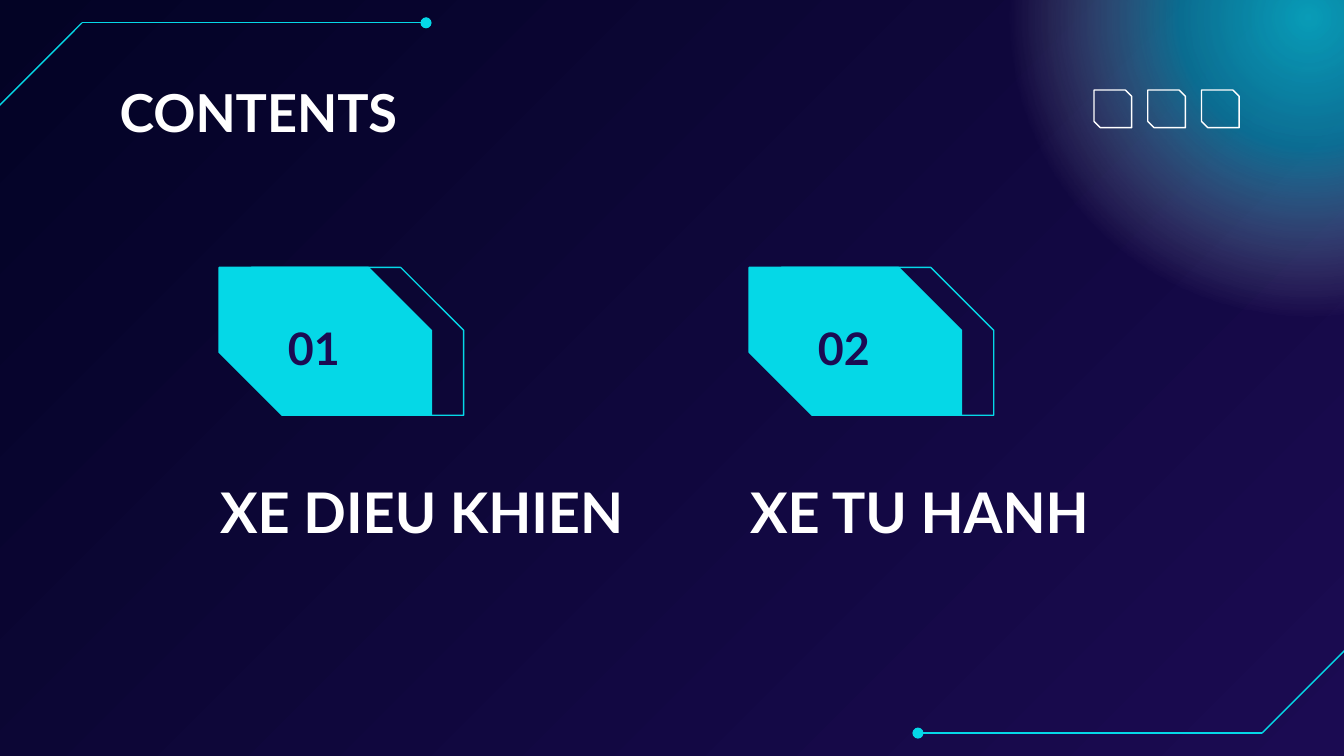
from lxml import etree
from pptx import Presentation
from pptx import util as u
from pptx.dml.color import RGBColor
from pptx.enum import shapes, text
from pptx.oxml import parse_xml
from pptx.oxml.ns import qn

NIGHT = RGBColor(0x03, 0x03, 0x25)
INDIGO = RGBColor(0x1B, 0x0B, 0x52)
CYAN = RGBColor(0x05, 0xD8, 0xE7)
WHITE = RGBColor(0xFF, 0xFF, 0xFF)
DRAWING = "http://schemas.openxmlformats.org/drawingml/2006/main"

deck = Presentation()
deck.slide_width = u.Inches(10)
deck.slide_height = deck.slide_width * 9 // 16
COLUMNS, ROWS = 100, 56.25
CELL = deck.slide_width / COLUMNS  # square grid of 100 columns


def add_snipped(left, top, width, height, snip, color, filled=False):
    """Draw a rectangle with two opposite corners cut off."""
    shape = page.shapes.add_shape(
        shapes.MSO_SHAPE.SNIP_2_DIAG_RECTANGLE,
        *(round(CELL * n) for n in (left, top, width, height)))
    shape.shadow.inherit = False
    shape.adjustments[0], shape.adjustments[1] = 0, snip
    shape.line.color.rgb, shape.line.width = color, u.Pt(0.75)
    if filled:
        shape.fill.solid()
        shape.fill.fore_color.rgb = color
    else:
        shape.fill.background()


def write(box, words, place, anchor, size, color, align=text.PP_ALIGN.LEFT, after=0):
    """Place a text shape on the grid and fill it with one bold paragraph."""
    for name, n in zip(("left", "top", "width", "height"), place):
        setattr(box, name, round(CELL * n))
    frame = box.text_frame
    frame_format = {"word_wrap": True, "auto_size": text.MSO_AUTO_SIZE.NONE,
                    "vertical_anchor": anchor}
    for side in ("left", "top", "right", "bottom"):
        frame_format["margin_" + side] = u.Inches(0.1)
    for name, value in frame_format.items():
        setattr(frame, name, value)
    para = frame.paragraphs[0]
    para.alignment, para.space_after = align, u.Pt(after)
    span = para.add_run()
    span.text = words
    for name, value in {"name": "Lato", "size": u.Pt(size), "bold": True}.items():
        setattr(span.font, name, value)
    span.font.color.rgb = color


page = deck.slides.add_slide(deck.slide_layouts[5])

# Background, dark at the top left
backdrop = page.background.fill
backdrop.gradient()
backdrop.gradient_angle = 315
for stop, color, position in zip(backdrop.gradient_stops, (NIGHT, INDIGO), (0, 1)):
    stop.color.rgb, stop.position = color, position

# Glow in the top right corner
glow = page.shapes.add_shape(
    shapes.MSO_SHAPE.OVAL, *(round(CELL * n) for n in (74.5, -21.5, 45.6, 45.6)))
glow.shadow.inherit = False
glow.line.fill.background()
stops = "".join(
    f'<a:gs pos="{position * 1000}"><a:srgbClr val="{color}">'
    f'<a:alpha val="{opacity * 1000}"/></a:srgbClr></a:gs>'
    for position, color, opacity in
    ((0, CYAN, 71), (30, CYAN, 48), (69, WHITE, 0), (100, WHITE, 0)))
glow.element.spPr.find(qn("a:prstGeom")).addnext(parse_xml(
    f'<a:gradFill xmlns:a="{DRAWING}"><a:gsLst>{stops}</a:gsLst><a:path path="circle">'
    '<a:fillToRect l="50000" t="50000" r="50000" b="50000"/></a:path></a:gradFill>'))

# Corner lines: the second corner is the first one turned by 180 degrees
corner = ((-0.2, 8), (6.1, 1.7), (31.7, 1.7))
turned = [(COLUMNS - x, ROWS - y) for x, y in corner]
for points in (corner, turned):
    for start, end in zip(points, points[1:]):
        line = page.shapes.add_connector(
            shapes.MSO_CONNECTOR.STRAIGHT, *(round(CELL * n) for n in start + end))
        line.line.color.rgb, line.line.width = CYAN, u.Pt(0.75)
        etree.SubElement(line.element.spPr, qn("a:effectLst"))
        if end == points[-1]:
            outline = line.element.spPr.find(qn("a:ln"))
            etree.SubElement(outline, qn("a:tailEnd"), type="oval")

write(page.shapes.title, "CONTENTS", (7.9, 4.95, 78.5, 6.7),
      text.MSO_ANCHOR.TOP, 28, WHITE)

# Sections, each with an outlined badge behind a filled one
for index, section in enumerate(("XE DIEU KHIEN", "XE TU HANH")):
    left = 16.3 + 39.44 * index
    add_snipped(left + 2.4, 19.9, 15.8, 11, 0.426, CYAN)
    add_snipped(left, 19.9, 15.8, 11, 0.426, CYAN, filled=True)
    write(page.shapes.add_textbox(0, 0, 0, 0), f"{index + 1:02}",
          (left + 1.5, 19.4, 11.1, 13), text.MSO_ANCHOR.MIDDLE, 24, INDIGO,
          text.PP_ALIGN.CENTER)
    write(page.shapes.add_textbox(0, 0, 0, 0), section,
          (left - 0.9, 30.65, 42.7, 10.9), text.MSO_ANCHOR.BOTTOM, 30, WHITE, after=12)

# Small outlined squares
for index in range(3):
    add_snipped(81.4 + 4 * index, 6.7, 2.8, 2.8, 0.167, WHITE)

deck.save("out.pptx")
